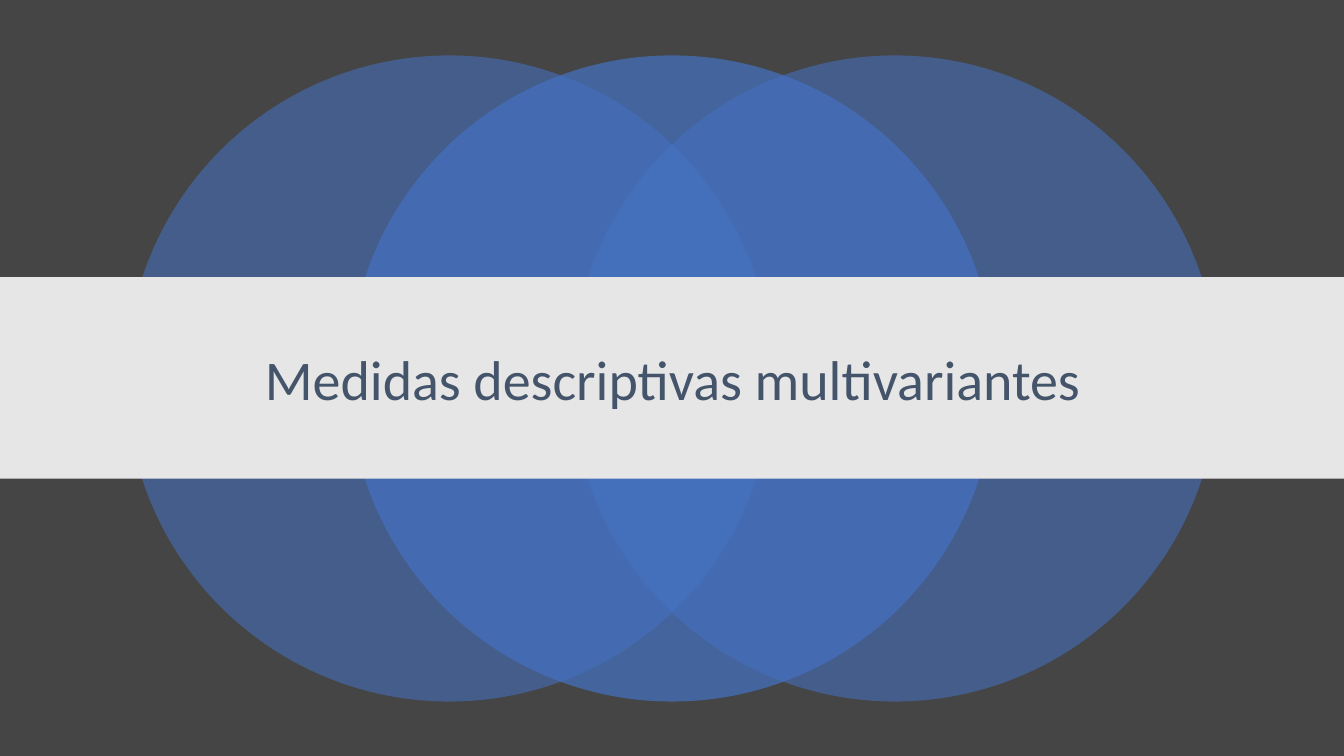
"""Build the section title slide with three overlapping circles behind a band."""
from dataclasses import dataclass

from lxml import etree
from pptx import Presentation
from pptx.dml.color import RGBColor
from pptx.enum import shapes, text
from pptx.oxml.ns import qn
from pptx.util import Inches, Pt


@dataclass(frozen=True)
class Theme:
    background: str = "454545"
    circle: str = "4472C4"
    band: str = "E7E6E6"
    title: str = "44546A"
    font: str = "Calibri"
    title_size: int = 40


THEME = Theme()
TITLE = "Medidas descriptivas multivariantes"
WIDTH, HEIGHT = 13.33, 7.5
DIAMETER = 6.41
CIRCLES_TOP = 0.55
CIRCLE_STEP = 2.21
CIRCLES = [(-1, 55), (1, 55), (0, 70)]
BAND = (0, 2.75, WIDTH, 2)
TITLE_BOX = (1.67, 3.04, 10, 1.51)


def add_filled_shape(slide, kind, box, color, opacity=100):
    shape = slide.shapes.add_shape(kind, *map(Inches, box))
    shape.shadow.inherit = False
    shape.line.fill.background()
    shape.fill.solid()
    shape.fill.fore_color.rgb = RGBColor.from_string(color)
    if opacity < 100:
        color_element = next(shape.fill._xPr.iter(qn("a:srgbClr")))
        alpha = etree.SubElement(color_element, qn("a:alpha"))
        alpha.set("val", str(opacity * 1000))


def add_title(slide):
    frame = slide.shapes.add_textbox(*map(Inches, TITLE_BOX)).text_frame
    frame.word_wrap = True
    frame.vertical_anchor = text.MSO_ANCHOR.MIDDLE
    frame.text = TITLE
    paragraph = frame.paragraphs[0]
    paragraph.alignment = text.PP_ALIGN.CENTER
    paragraph.line_spacing = 0.9
    font = paragraph.runs[0].font
    font.name = THEME.font
    font.size = Pt(THEME.title_size)
    font.color.rgb = RGBColor.from_string(THEME.title)


def main():
    presentation = Presentation()
    presentation.slide_width = Inches(WIDTH)
    presentation.slide_height = Inches(HEIGHT)
    slide = presentation.slides.add_slide(presentation.slide_layouts[6])
    slide.background.fill.solid()
    slide.background.fill.fore_color.rgb = RGBColor.from_string(THEME.background)

    middle_left = (WIDTH - DIAMETER) / 2
    for offset, opacity in CIRCLES:
        box = (middle_left + offset * CIRCLE_STEP, CIRCLES_TOP, DIAMETER, DIAMETER)
        add_filled_shape(slide, shapes.MSO_SHAPE.OVAL, box, THEME.circle, opacity)
    add_filled_shape(slide, shapes.MSO_SHAPE.RECTANGLE, BAND, THEME.band)
    add_title(slide)
    presentation.save("out.pptx")


if __name__ == "__main__":
    main()
